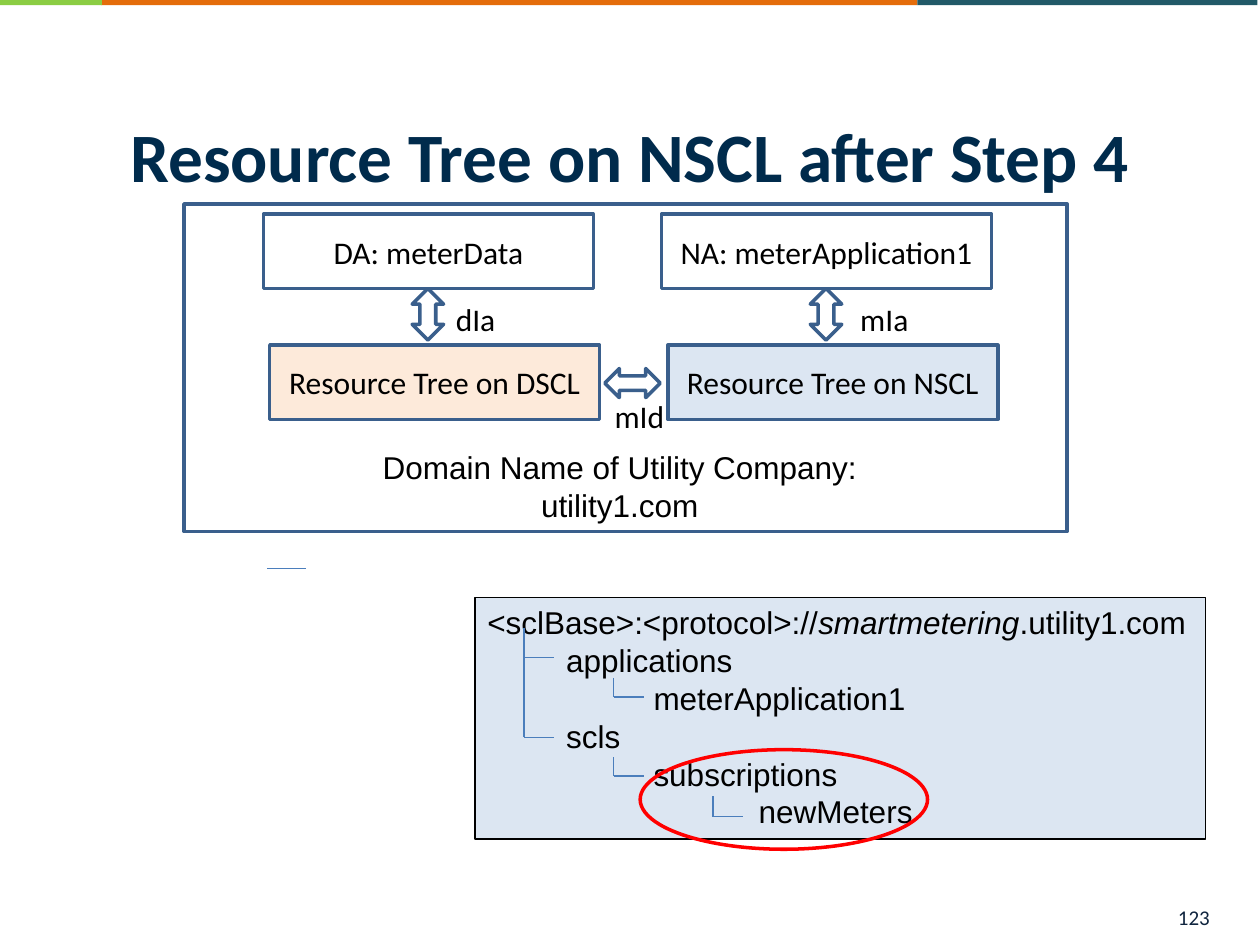
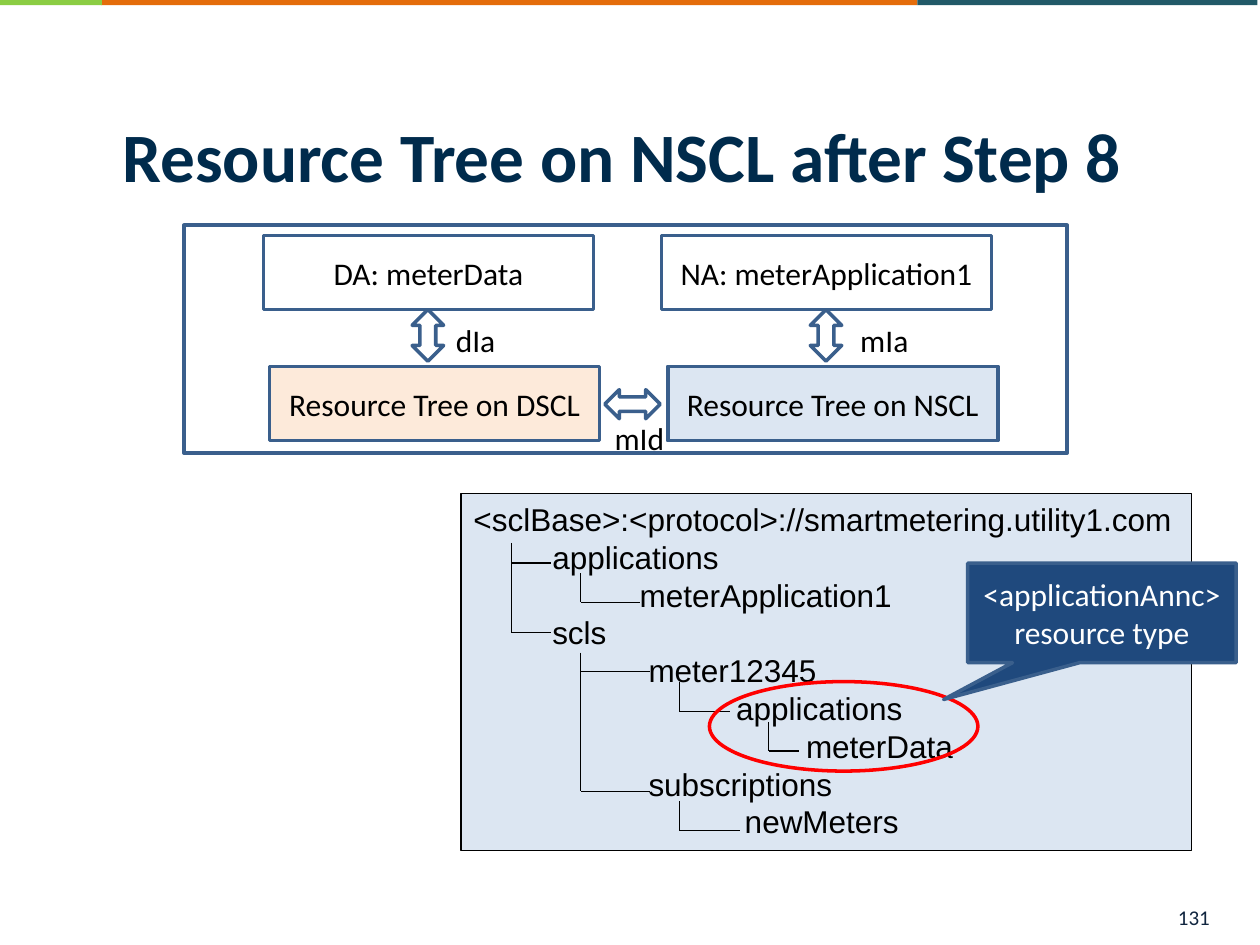
from lxml import etree
from pptx import Presentation
from pptx import util as u
from pptx.dml.color import RGBColor
from pptx.enum import shapes, text
from pptx.oxml import ns

Pt = u.Pt
KIND = shapes.MSO_SHAPE
MID, TOP = text.MSO_ANCHOR.MIDDLE, text.MSO_ANCHOR.TOP
LEFT, MIDDLE = text.PP_ALIGN.LEFT, text.PP_ALIGN.CENTER

ORANGE = RGBColor(0xE4, 0x6C, 0x0A)
TEAL = RGBColor(0x21, 0x59, 0x68)
GREEN = RGBColor(0x8B, 0xCD, 0x43)
NAVY = RGBColor(0x00, 0x2B, 0x4C)
INK = RGBColor(0x10, 0x25, 0x3F)
BLACK = RGBColor(0, 0, 0)
WHITE = RGBColor(0xFF, 0xFF, 0xFF)
EDGE = RGBColor(0x3A, 0x5F, 0x8C)
PEACH = RGBColor(0xFD, 0xEA, 0xDA)
PALE = RGBColor(0xDC, 0xE6, 0xF2)
TWIG = RGBColor(0x4B, 0x7E, 0xBC)
RED = RGBColor(0xFF, 0, 0)
DEEP = RGBColor(0x1F, 0x49, 0x7D)

SPACE = 5  # width of one indent unit in the trees


def style(para, runs, font="Calibri", size=18, color=BLACK, bold=False,
          align=LEFT):
    """Fill a paragraph with (words, italic) runs."""
    para.alignment = align
    for words, slant in runs:
        run = para.add_run()
        run.text = words
        run.font.name = font
        run.font.size = Pt(size)
        run.font.bold = bold
        run.font.italic = slant
        run.font.color.rgb = color


def shape(slide, kind, x, y, w, h, fill=None, line=EDGE, width=2):
    item = slide.shapes.add_shape(kind, Pt(x), Pt(y), Pt(w), Pt(h))
    item.shadow.inherit = False
    if fill is None:
        item.fill.background()
    else:
        item.fill.solid()
        item.fill.fore_color.rgb = fill
    if line is None:
        item.line.fill.background()
    else:
        item.line.color.rgb = line
        item.line.width = Pt(width)
    return item


def block(slide, words, x, y, w, h, fill, color=BLACK, kind=KIND.RECTANGLE):
    """A filled shape with centred words."""
    item = shape(slide, kind, x, y, w, h, fill)
    frame = item.text_frame
    frame.word_wrap = True
    frame.vertical_anchor = MID
    style(frame.paragraphs[0], [(words, False)], color=color, align=MIDDLE)
    return item


def label(slide, lines, x, y, w, h, wrap=True, anchor=TOP, **look):
    frame = slide.shapes.add_textbox(Pt(x), Pt(y), Pt(w), Pt(h)).text_frame
    frame.word_wrap = wrap
    frame.vertical_anchor = anchor
    for i, words in enumerate(lines):
        para = frame.add_paragraph() if i else frame.paragraphs[0]
        style(para, [(words, False)], **look)


def rule(slide, x1, y1, x2, y2, color):
    line = slide.shapes.add_connector(
        shapes.MSO_CONNECTOR.STRAIGHT, Pt(x1), Pt(y1), Pt(x2), Pt(y2))
    line.line.color.rgb = color
    line.line.width = Pt(0.75)
    etree.SubElement(line._element.spPr, ns.qn("a:effectLst"))


def base(deck, title, number):
    """A slide with the bands, title and page number."""
    slide = deck.slides.add_slide(deck.slide_layouts[6])
    for x, w, fill in ((57.6, 466.6, ORANGE), (524.2, 194.4, TEAL),
                       (-3.6, 61.9, GREEN)):
        shape(slide, KIND.RECTANGLE, x, -0.7, w, 3.6, fill, None)
    label(slide, [title], 36, 49, 648, 79.2, anchor=MID,
          size=39.6, color=NAVY, bold=True, align=MIDDLE)
    label(slide, [number], 666, 513.4, 46, 28.8, size=12, color=INK)
    return slide


def domain(slide, x, y, w, h):
    """The two applications above their resource trees."""
    columns = (
        ("DA: meterData", "Resource Tree on DSCL", PEACH, "dIa", 148.3),
        ("NA: meterApplication1", "Resource Tree on NSCL", PALE, "mIa", 379.4))
    for i, (app, tree, fill, link, at) in enumerate(columns):
        left = x + 45.4 + i * 227.5
        block(slide, app, left, y + 5.8, 188.6, 42.5, None)
        block(slide, tree, left + 3.6, y + 80.6, 188.6, 42.5, fill)
        shape(slide, KIND.UP_DOWN_ARROW, left + 85, y + 48.2, 18, 29.5)
        label(slide, [link], x + at, y + 51.5, 42, 28.8, wrap=False)
    shape(slide, KIND.LEFT_RIGHT_ARROW, x + 240.5, y + 94, 31.7, 16.6)
    label(slide, ["mId"], x + 239, y + 107, 43.2, 28.8, wrap=False)
    shape(slide, KIND.RECTANGLE, x, y, w, h)


def tree(slide, x, y, w, h, root, nodes, forks, color):
    """A panel of (indent, name) nodes; a fork is trunk x, top, twig length,
    twig heights, all relative to the panel."""
    panel = shape(slide, KIND.RECTANGLE, x, y, w, h, PALE, BLACK, 0.75)
    frame = panel.text_frame
    frame.word_wrap = True
    frame.vertical_anchor = TOP
    style(frame.paragraphs[0], root, "Arial")
    for depth, name in nodes:
        para = frame.add_paragraph()
        para._p.get_or_add_pPr().set("marL", str(Pt(depth * SPACE)))
        style(para, [(name, False)], "Arial")
    for left, top, size, twigs in forks:
        left += x
        rule(slide, left, y + top, left, y + twigs[-1], color)
        for down in twigs:
            rule(slide, left, y + down, left + size, y + down, color)


def ring(slide, x, y, w, h):
    shape(slide, KIND.OVAL, x, y, w, h, line=RED)


def step4(deck):
    slide = base(deck, "Resource Tree on NSCL after Step 4", "123")
    domain(slide, 105.1, 116.6, 504.7, 187.2)
    label(slide, ["Domain Name of Utility Company:", "utility1.com"],
          206.6, 252.7, 295.2, 51, font="Arial", align=MIDDLE)
    rule(slide, 152.6, 324.7, 175, 324.7, TWIG)
    tree(slide, 271.4, 341.3, 417.6, 138.2,
         [("<sclBase>:<protocol>://", False), ("smartmetering", True),
          (".utility1.com", False)],
         [(9, "applications"), (19, "meterApplication1"), (9, "scls"),
          (19, "subscriptions"), (31, "newMeters")],
         [(28, 17.3, 17.3, (34.6, 80)), (79.2, 46, 17.3, (57,)),
          (79.2, 91.4, 17.3, (102.2,)), (136, 113.8, 17.3, (125.3,))],
         TWIG)
    ring(slide, 365.8, 428.4, 164.2, 56.9)


def step8(deck):
    slide = base(deck, "Resource Tree on NSCL after Step 8 ", "131")
    domain(slide, 105.1, 128.7, 504.7, 130.3)
    tree(slide, 263.5, 282.2, 417.6, 203.8,
         [("<sclBase>:<protocol>://smartmetering.utility1.com", False)],
         [(9, "applications"), (19, "meterApplication1"), (9, "scls"),
          (20, "meter12345"), (30, "applications"), (38, "meterData"),
          (20, "subscriptions"), (31, "newMeters")],
         [(28.8, 28, 22.3, (39.6, 79.2)), (68.4, 45.4, 33.8, (62,)),
          (68.4, 90.7, 39.6, (101.5, 170)), (124.6, 107.3, 28.8, (124.6,)),
          (175.7, 130.3, 17.3, (147,)), (124.6, 175.7, 34.6, (192.2,))],
         BLACK)
    ring(slide, 405.4, 389.5, 153.4, 51.1)
    note = block(slide, "<applicationAnnc> resource type", 553, 321.8,
                 153.4, 56.9, DEEP, WHITE, KIND.RECTANGULAR_CALLOUT)
    note.adjustments[0] = -0.59
    note.adjustments[1] = 0.87


def main():
    deck = Presentation()
    deck.slide_width, deck.slide_height = Pt(720), Pt(540)
    step4(deck)
    step8(deck)
    deck.save("out.pptx")


if __name__ == "__main__":
    main()
